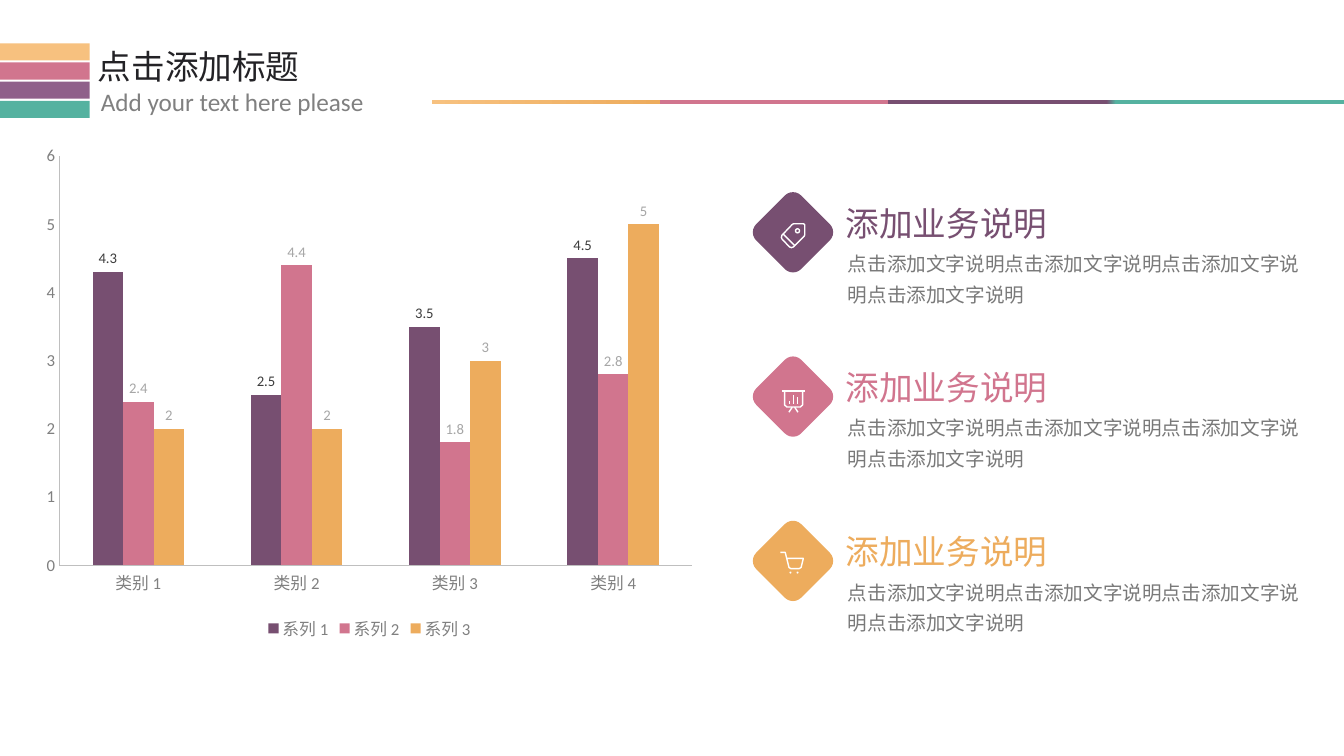
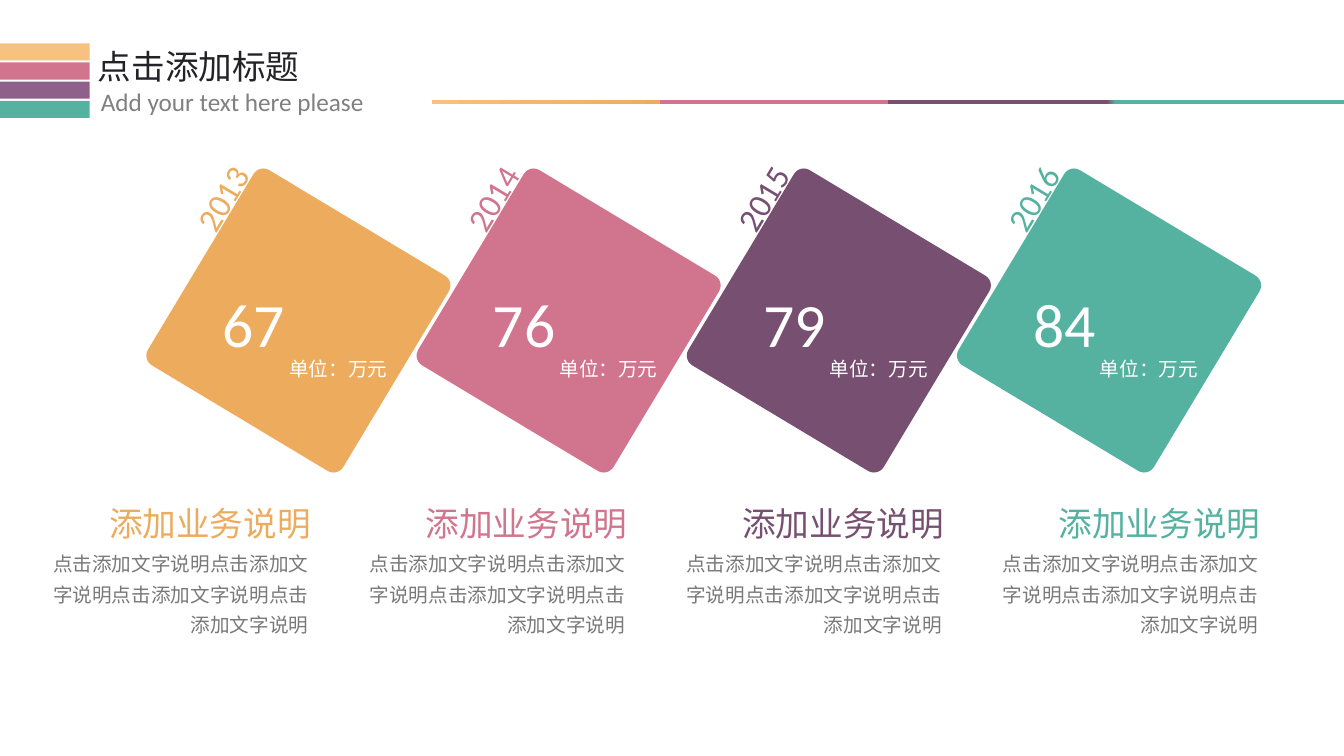
from pptx import Presentation
from pptx.chart.data import CategoryChartData
from pptx.dml.color import RGBColor
from pptx.enum.chart import XL_CHART_TYPE, XL_LABEL_POSITION, XL_LEGEND_POSITION, XL_TICK_MARK
from pptx.enum.shapes import MSO_SHAPE
from pptx.enum.text import MSO_ANCHOR, MSO_AUTO_SIZE, PP_ALIGN
from pptx.oxml.ns import qn
from pptx.util import Pt
from lxml import etree

RECT, ROUND, OVAL = MSO_SHAPE.RECTANGLE, MSO_SHAPE.ROUNDED_RECTANGLE, MSO_SHAPE.OVAL
LEFT, RIGHT = PP_ALIGN.LEFT, PP_ALIGN.RIGHT
TOP, NO_FIT = MSO_ANCHOR.TOP, MSO_AUTO_SIZE.NONE
COLUMNS, BOTTOM = XL_CHART_TYPE.COLUMN_CLUSTERED, XL_LEGEND_POSITION.BOTTOM
OUTSIDE, NO_TICK = XL_LABEL_POSITION.OUTSIDE_END, XL_TICK_MARK.NONE

PX = 9144
LATIN, CJK = "Calibri", "Noto Sans CJK SC"
PEACH = RGBColor(0xF7, 0xC1, 0x7F)
ORANGE = RGBColor(0xED, 0xAC, 0x5D)
PINK = RGBColor(0xD1, 0x75, 0x8E)
VIOLET = RGBColor(0x8F, 0x60, 0x8A)
PLUM = RGBColor(0x77, 0x4F, 0x71)
TEAL = RGBColor(0x55, 0xB2, 0xA0)
WHITE = RGBColor(0xFF, 0xFF, 0xFF)
INK = RGBColor(0x23, 0x22, 0x26)
DARK = RGBColor(0x3C, 0x3C, 0x3C)
GRAY = RGBColor(0x80, 0x80, 0x80)
BODY = RGBColor(0x79, 0x79, 0x79)
PALE = RGBColor(0xA6, 0xA6, 0xA6)
AXIS = RGBColor(0xBF, 0xBF, 0xBF)

RULE_STOPS = [(0, PEACH), (25, ORANGE), (25, PINK), (50, PINK),
              (50, PLUM), (74, PLUM), (75, TEAL), (100, TEAL)]
HEADING = "添加业务说明"
DETAIL = "点击添加文字说明" * 4

TAG_LINES = [[(100, -90), (0, -90), (-15, -80), (-115, 25), (-120, 45), (-115, 60),
              (-40, 140), (-20, 147), (0, 140), (105, 35), (112, 20), (112, -80),
              (100, -90)],
             [(-105, 10), (10, 125)]]
BOARD_LINES = [[(-115, -60), (110, -60)],
               [(-88, -60), (-88, 78), (-65, 98), (68, 98), (90, 78), (90, -60)],
               [(-40, 65), (-40, 35)], [(0, 65), (0, -25)], [(40, 65), (40, -5)],
               [(-12, 100), (-45, 150)], [(12, 100), (45, 150)]]
CART_LINES = [[(-130, -90), (-82, -90), (-45, 60), (-25, 72), (55, 72), (75, 60),
               (97, -30), (-70, -30)]]


class Deck:
    """Holds the style, the presentation and the current slide."""

    def __init__(self):
        """Start a wide presentation."""
        self.prs = Presentation()
        self.prs.slide_width, self.prs.slide_height = 1333 * PX, 750 * PX
        self.s = None

    def place(self, sp, x, y, w, h):
        """Move and size a shape in px."""
        sp.left, sp.top, sp.width, sp.height = (v * PX for v in (x, y, w, h))

    def fill_text(self, sp, text, size, color, font=LATIN, align=LEFT, spacing=1.0):
        """Put one formatted run into a shape."""
        tf = sp.text_frame
        tf.word_wrap, tf.auto_size, tf.vertical_anchor = True, NO_FIT, TOP
        p = tf.paragraphs[0]
        p.alignment, p.line_spacing, p.space_before = align, spacing, Pt(0)
        r = p.add_run()
        r.text = text
        r.font.size, r.font.name = Pt(size), font
        r.font.color.rgb = color
        etree.SubElement(r.font._element, qn("a:ea"), typeface=CJK)
        return p

    def text(self, x, y, w, h, text, size, color, rotation=0, **style):
        """Add a text box."""
        sp = self.s.shapes.add_textbox(x * PX, y * PX, w * PX, h * PX)
        sp.rotation = rotation
        self.fill_text(sp, text, size, color, **style)

    def shape(self, kind, x, y, w, h, color, rotation=0, corner=None):
        """Add a filled preset shape without outline."""
        sp = self.s.shapes.add_shape(kind, x * PX, y * PX, w * PX, h * PX)
        sp.shadow.inherit = False
        sp.fill.solid()
        sp.fill.fore_color.rgb = color
        sp.line.fill.background()
        sp.rotation = rotation
        if corner is not None:
            sp.adjustments[0] = corner
        return sp

    def rule(self, x, y, w, h):
        """Add the four-colour title rule."""
        sp = self.shape(RECT, x, y, w, h, PEACH)
        sp.fill.gradient()
        sp.fill.gradient_angle = 0
        stops = sp._element.spPr.find(qn("a:gradFill")).find(qn("a:gsLst"))
        for gs in list(stops):
            stops.remove(gs)
        for pos, color in RULE_STOPS:
            gs = etree.SubElement(stops, qn("a:gs"), pos=str(pos * 1000))
            etree.SubElement(gs, qn("a:srgbClr"), val=str(color))

    def slide(self, title, subtitle):
        """Start a slide with the shared header."""
        self.s = self.prs.slides.add_slide(self.prs.slide_layouts[1])
        head, sub = self.s.shapes.title, self.s.placeholders[1]
        self.place(head, 87, 41, 236, 50)
        self.fill_text(head, title, 24, INK, font=CJK)
        self.place(sub, 90, 81, 367, 40)
        pPr = self.fill_text(sub, subtitle, 18, GRAY)._p.get_or_add_pPr()
        pPr.set("marL", "0")
        pPr.set("indent", "0")
        etree.SubElement(pPr, qn("a:buNone"))
        for i, color in enumerate((PEACH, PINK, VIOLET, TEAL)):
            self.shape(RECT, 0, 43 + 19 * i, 89, 17, color)
        self.rule(428, 99, 905, 4)

    def card(self, x, y, w, color, align=LEFT):
        """Add a coloured heading over a grey description."""
        shift = 2 if align == LEFT else -2
        self.text(x, y, w, 50, HEADING, 24, color, font=CJK, align=align)
        self.text(x + shift, y + 42, w, 71, DETAIL, 14, BODY, align=align, spacing=1.3)

    def icon(self, cx, cy, lines):
        """Draw white strokes, in tenths of a px, around a centre."""
        fb = self.s.shapes.build_freeform(*lines[0][0], scale=PX / 10)
        for i, points in enumerate(lines):
            if i:
                fb.move_to(*points[0])
            fb.add_line_segments(points[1:], close=False)
        sp = fb.convert_to_shape(cx * PX, cy * PX)
        sp.shadow.inherit = False
        sp.fill.background()
        sp.line.color.rgb, sp.line.width = WHITE, Pt(1)

    def ring(self, x, y, d):
        """Add a white circle outline."""
        sp = self.shape(OVAL, x, y, d, d, WHITE)
        sp.fill.background()
        sp.line.color.rgb, sp.line.width = WHITE, Pt(1)

    def chart(self, x, y, w, h, categories, series):
        """Add a clustered column chart from (name, values, fill, label colour)."""
        data = CategoryChartData()
        data.categories = categories
        for name, values, _, _ in series:
            data.add_series(name, values)
        frame = self.s.shapes.add_chart(COLUMNS, x * PX, y * PX, w * PX, h * PX, data)
        chart = frame.chart
        chart.has_title = False
        chart.font.name, chart.font.size = LATIN, Pt(12)
        chart.font.color.rgb = GRAY
        chart.has_legend = True
        chart.legend.position, chart.legend.include_in_layout = BOTTOM, False
        for axis in (chart.category_axis, chart.value_axis):
            axis.has_major_gridlines = False
            axis.major_tick_mark = axis.minor_tick_mark = NO_TICK
            axis.format.line.color.rgb, axis.format.line.width = AXIS, Pt(0.75)
        axis.minimum_scale, axis.maximum_scale, axis.major_unit = 0, 6, 1
        plot = chart.plots[0]
        plot.gap_width, plot.overlap, plot.vary_by_categories = 219, 0, False
        for ser, (_, _, color, label_color) in zip(plot.series, series):
            ser.invert_if_negative = False
            ser.format.fill.solid()
            ser.format.fill.fore_color.rgb = color
            labels = ser.data_labels
            labels.show_value, labels.position = True, OUTSIDE
            labels.font.name, labels.font.size = LATIN, Pt(10.5)
            labels.font.color.rgb = label_color


def main():
    """Build both slides."""
    deck = Deck()
    header = ("点击添加标题", "Add your text here please")

    deck.slide(*header)
    deck.chart(33, 135, 667, 505, [f"类别 {i}" for i in range(1, 5)], [
        ("系列 1", (4.3, 2.5, 3.5, 4.5), PLUM, DARK),
        ("系列 2", (2.4, 4.4, 1.8, 2.8), PINK, PALE),
        ("系列 3", (2, 2, 3, 5), ORANGE, PALE)])
    rows = [(PLUM, TAG_LINES), (PINK, BOARD_LINES), (ORANGE, CART_LINES)]
    for i, (color, lines) in enumerate(rows):
        y = 196 + 163 * i
        deck.shape(ROUND, 755, y + 3, 63, 63, color, rotation=45, corner=0.18)
        deck.icon(787, y + 35, lines)
        deck.card(829, y, 469, color)
    deck.ring(789, 227, 4)
    for x in (783, 790):
        deck.shape(OVAL, x, 567, 2, 2, WHITE)

    deck.slide(*header)
    years = [("2013", "67", ORANGE), ("2014", "76", PINK),
             ("2015", "79", PLUM), ("2016", "84", TEAL)]
    for i, (_, _, color) in enumerate(years):
        deck.shape(ROUND, 183 + 268 * i, 205, 226, 226, color, rotation=31, corner=0.05)
    for i, (year, amount, color) in enumerate(years):
        x = 268 * i
        deck.text(160 + x, 181, 109, 50, year, 24, color, rotation=301, align=RIGHT)
        deck.text(211 + x, 279, 105, 84, amount, 44, WHITE)
        deck.text(277 + x, 349, 122, 34, "单位：万元", 14, WHITE)
        deck.card(35 + 314 * i, 494, 283, color, align=RIGHT)

    deck.prs.save("out.pptx")


if __name__ == "__main__":
    main()
